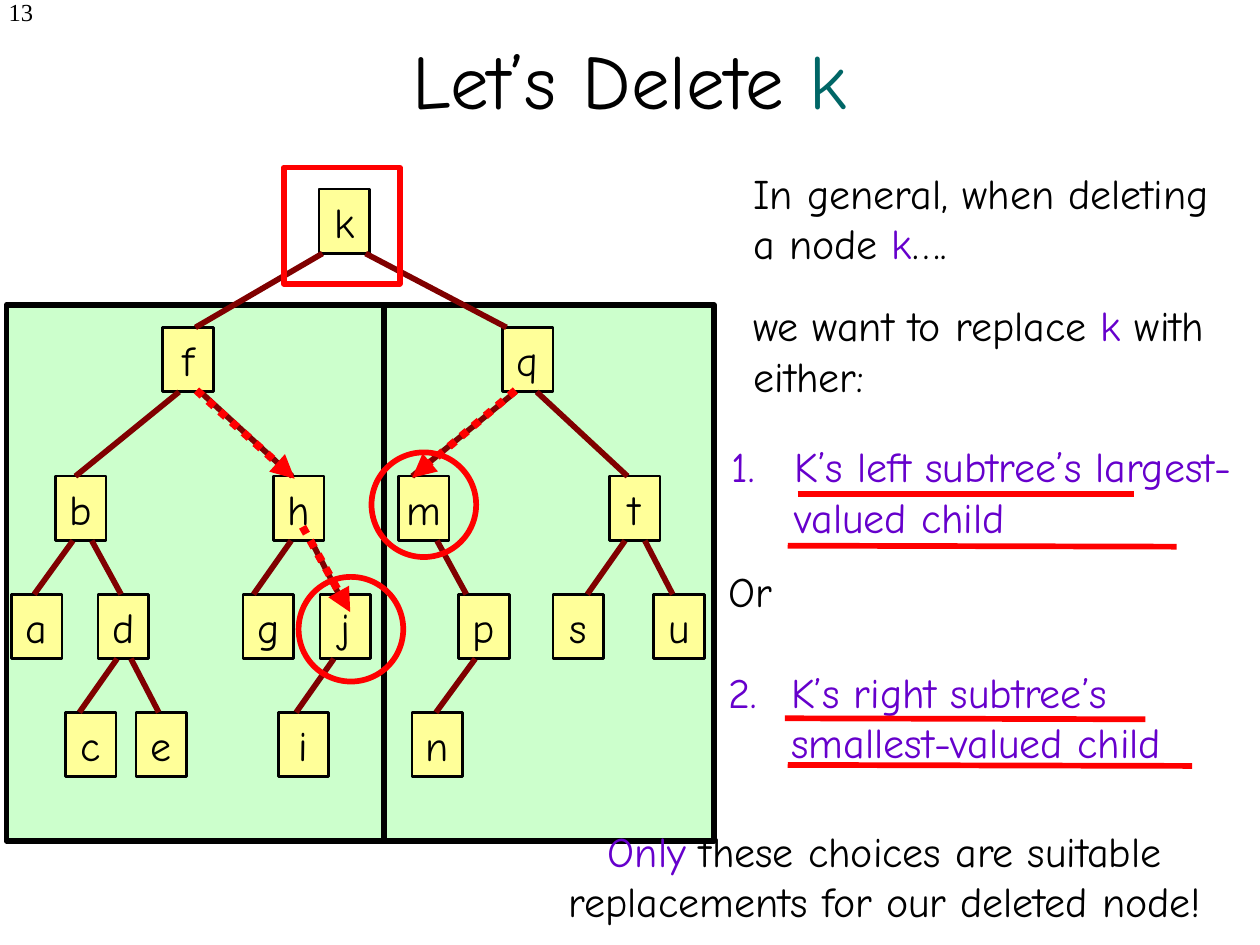
from lxml.etree import SubElement
from pptx import Presentation
from pptx.dml.color import RGBColor
from pptx.enum.dml import MSO_LINE
from pptx.enum.shapes import MSO_CONNECTOR, MSO_SHAPE
from pptx.enum.text import MSO_ANCHOR, MSO_AUTO_SIZE, PP_ALIGN
from pptx.oxml.ns import qn
from pptx.util import Cm, Pt

BLACK = RGBColor(0, 0, 0)
RED = RGBColor(0xFF, 0, 0)
MAROON = RGBColor(0x80, 0, 0)
GREEN = RGBColor(0xCC, 0xFF, 0xCC)
YELLOW = RGBColor(0xFF, 0xFF, 0x99)
TEAL = RGBColor(0, 0x66, 0x66)
PURPLE = RGBColor(0x66, 0, 0xCC)
FONT = "Comic Neue"

# Content: all lengths in cm
TITLE = [("Let’s Delete ", BLACK), ("k", TEAL)]
PANELS = [(7.62, 6.15, 6.78, 10.8), (0.13, 6.15, 7.62, 10.8)]

# Tree levels: top, then the left edge of each node
NODE_W, NODE_H = 1.02, 1.3
LEVELS = [
    (3.81, {"k": 6.43}),
    (6.6, {"f": 3.28, "q": 10.13}),
    (9.6, {"b": 1.12, "h": 5.51, "m": 8.03, "t": 12.29}),
    (11.98, {"a": 0.23, "d": 1.98, "g": 4.9, "j": 6.45,
             "p": 9.25, "s": 11.15, "u": 13.18}),
    (14.36, {"c": 1.32, "e": 2.74, "i": 5.61, "n": 8.31}),
]

# Edges leaving each level: x at the parent, x at the child
EDGES = [
    [(6.5, 3.94), (7.37, 10.21)],
    [(3.61, 1.52), (4.04, 5.89), (10.39, 8.31), (10.82, 12.65)],
    [(1.47, 0.69), (1.85, 2.44), (5.87, 5.11), (6.27, 6.83),
     (8.81, 9.4), (12.6, 11.84), (13, 13.56)],
    [(2.36, 1.6), (2.64, 3.2), (6.73, 5.97), (9.58, 8.79)],
]

# Marks: search paths, framed nodes and underlines
PATHS = [(3.96, 7.87, 5.94, 9.65), (6.1, 10.62, 7.06, 12.34),
         (10.39, 7.87, 8.31, 9.63)]
FRAMES = [(MSO_SHAPE.RECTANGLE, 5.72, 3.38, 2.34),
          (MSO_SHAPE.OVAL, 6.02, 11.63, 2.11),
          (MSO_SHAPE.OVAL, 7.49, 9.12, 2.11)]
RULES = [(16.08, 9.96, 22.86, 9.96), (15.88, 11, 23.72, 11.02),
         (15.82, 14.48, 23.09, 14.5), (15.88, 15.42, 24.03, 15.44)]

# Notes: box, then paragraphs of (text, colour) spans
INTRO = (14.94, 3.25, 10.26, 2.29), [
    [("In general, when deleting a node ", BLACK), ("k", PURPLE),
     ("….", BLACK)]]
WANT = (14.94, 5.92, 10.26, 2.29), [
    [("we want to replace ", BLACK), ("k", PURPLE),
     (" with either:", BLACK)]]
FIRST = (14.5, 8.76, 11.05, 2.29), [
    [("K’s left subtree’s largest-valued child", PURPLE)]]
SECOND = (14.43, 11.27, 11.05, 5.3), [
    [("Or", BLACK)],
    [("2.\tK’s right subtree’s \vsmallest-valued child", PURPLE)]]
LAST = (10.52, 16.51, 14.63, 2.29), [
    [("Only", PURPLE),
     (" these choices are suitable replacements for our deleted node!",
      BLACK)]]

deck = Presentation()
deck.slide_width, deck.slide_height = Cm(25.4), Cm(19.05)
slide = deck.slides.add_slide(deck.slide_layouts[5])
shapes = slide.shapes


def place(box):
    return [Cm(v) for v in box]


def write(para, spans, size=24, font=FONT, align=PP_ALIGN.LEFT):
    para.font.size, para.font.name = Pt(size), font
    para.alignment = align
    for text, color in spans:
        for i, part in enumerate(text.split("\v")):
            if i:
                para.add_line_break()
            run = para.add_run()
            run.text = part
            run.font.color.rgb = color


def draw(kind, box, fill, color, width):
    shape = shapes.add_shape(kind, *place(box))
    shape.shadow.inherit = False
    if fill is None:
        shape.fill.background()
    else:
        shape.fill.solid()
        shape.fill.fore_color.rgb = fill
    shape.line.color.rgb, shape.line.width = color, Pt(width)
    return shape


def link(ends, color, width=3.25):
    line = shapes.add_connector(MSO_CONNECTOR.STRAIGHT, *place(ends))
    line.line.color.rgb, line.line.width = color, Pt(width)
    SubElement(line.element.spPr, qn("a:effectLst"))
    return line


def note(box, paras, **style):
    frame = shapes.add_textbox(*place(box)).text_frame
    frame.word_wrap = True
    for i, spans in enumerate(paras):
        para = frame.add_paragraph() if i else frame.paragraphs[0]
        write(para, spans, **style)
    return frame


def hang(para):
    props = para._p.get_or_add_pPr()
    props.set("marL", str(Cm(1.27)))
    props.set("indent", str(-Cm(1.27)))
    return props


# Title and page number
title = shapes.title
title.left, title.top, title.width, title.height = place((1.9, 0, 21.6, 3.18))
title.text_frame.vertical_anchor = MSO_ANCHOR.MIDDLE
title.text_frame.auto_size = MSO_AUTO_SIZE.NONE
write(title.text_frame.paragraphs[0], TITLE, 44, align=PP_ALIGN.CENTER)
page = note((0, -0.18, 0.92, 1.27), [[("13", BLACK)]], size=14,
            font="Times New Roman", align=PP_ALIGN.RIGHT)
page.margin_left = 0

# Subtree panels and tree
for box in PANELS:
    draw(MSO_SHAPE.RECTANGLE, box, GREEN, BLACK, 3.25)
for top, nodes in LEVELS:
    for name, left in nodes.items():
        node = draw(MSO_SHAPE.RECTANGLE, (left, top, NODE_W, NODE_H),
                    YELLOW, BLACK, 1.5)
        frame = node.text_frame
        frame.word_wrap = False
        frame.vertical_anchor = MSO_ANCHOR.MIDDLE
        write(frame.paragraphs[0], [(name, BLACK)], align=PP_ALIGN.CENTER)
for (top, _), (below, _), pairs in zip(LEVELS, LEVELS[1:], EDGES):
    for start, end in pairs:
        link((start, top + NODE_H, end, below), MAROON)

# Notes beside the tree
note(*INTRO)
note(*WANT)
first = note(*FIRST).paragraphs[0]
SubElement(hang(first), qn("a:buAutoNum"), type="arabicPeriod")
second = note(*SECOND)
for para in second.paragraphs:
    hang(para)
second.paragraphs[1].space_before = Pt(28.8)

# Red marks
for ends in RULES:
    link(ends, RED)
for ends in PATHS:
    path = link(ends, RED, 4.5)
    path.line.dash_style = MSO_LINE.ROUND_DOT
    SubElement(path.line._get_or_add_ln(), qn("a:tailEnd"), type="triangle")
for kind, left, top, side in FRAMES:
    draw(kind, (left, top, side, side), None, RED, 3.25)
note(*LAST, align=PP_ALIGN.CENTER)

deck.save("out.pptx")
